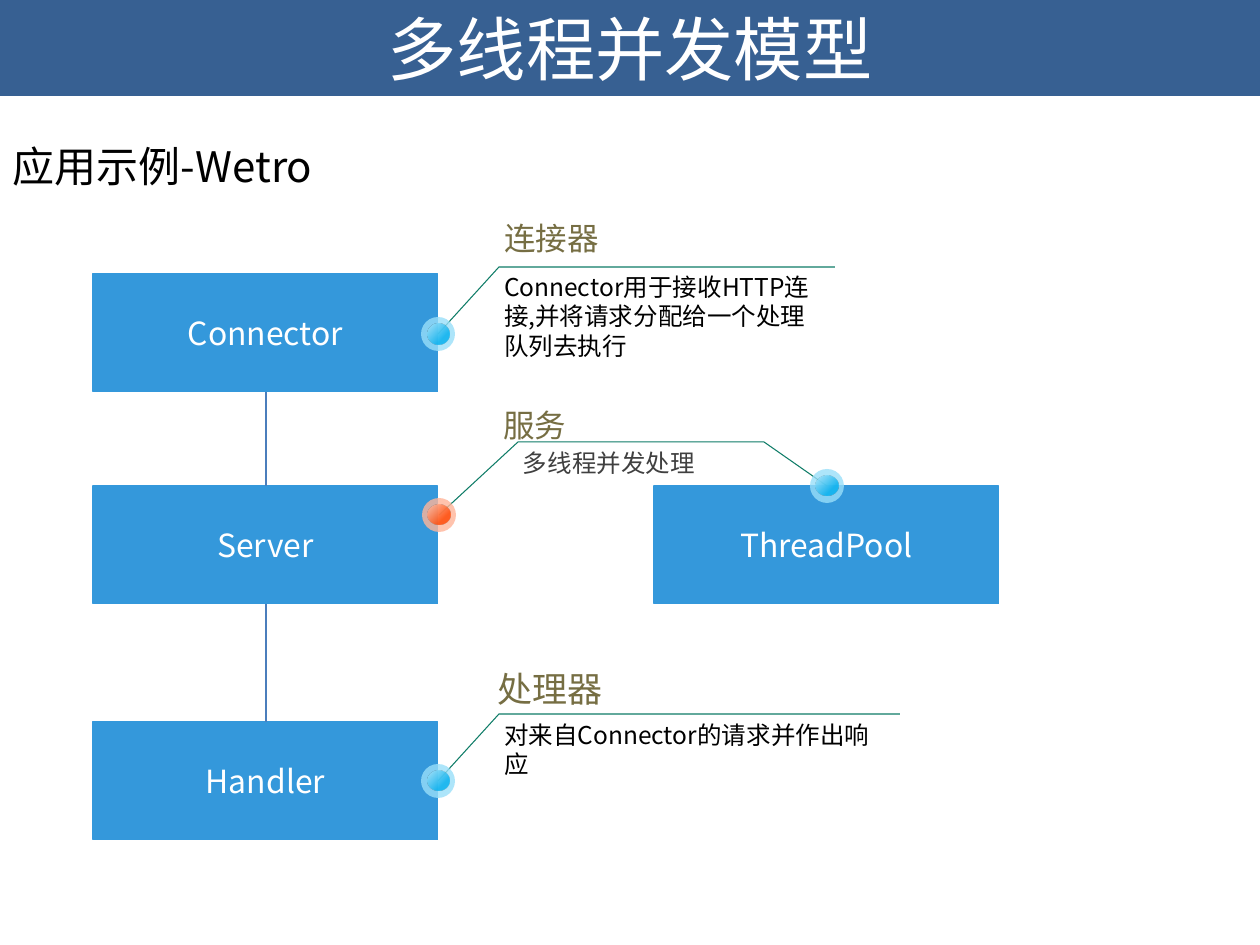
from lxml import etree
from pptx import Presentation
from pptx.dml.color import RGBColor
from pptx.enum.shapes import MSO_CONNECTOR, MSO_SHAPE
from pptx.enum.text import MSO_ANCHOR, PP_ALIGN
from pptx.oxml import parse_xml
from pptx.oxml.ns import nsdecls, qn
from pptx.util import Pt

PIXEL = 914400 // 126
FONT = "Noto Sans CJK SC"
WHITE = RGBColor(0xFF, 0xFF, 0xFF)
BLACK = RGBColor(0x00, 0x00, 0x00)
GRAY = RGBColor(0x40, 0x40, 0x40)
NAVY = RGBColor(0x37, 0x60, 0x92)
BLUE = RGBColor(0x34, 0x98, 0xDB)
LINK_BLUE = RGBColor(0x4B, 0x7E, 0xBC)
GREEN = RGBColor(0x0E, 0x7C, 0x67)
OLIVE = RGBColor(0x76, 0x6E, 0x43)
# Halo, centre highlight and core of each marker
CYAN_MARKER = (RGBColor(0x99, 0xDF, 0xF9), RGBColor(0xB2, 0xE7, 0xFA), RGBColor(0x00, 0xAE, 0xEE))
ORANGE_MARKER = (RGBColor(0xFF, 0xB5, 0x99), RGBColor(0xFF, 0xC7, 0xB2), RGBColor(0xFF, 0x45, 0x00))

presentation = Presentation()
presentation.slide_width = 1260 * PIXEL
presentation.slide_height = 945 * PIXEL
slide = presentation.slides.add_slide(presentation.slide_layouts[6])
shapes = slide.shapes


def add_filled(preset, left, top, width, height, color):
    shape = shapes.add_shape(preset, *(PIXEL * value for value in (left, top, width, height)))
    shape.shadow.inherit = False
    shape.fill.solid()
    shape.fill.fore_color.rgb = color
    shape.line.fill.background()
    return shape


def write(shape, text, size, color, anchor, alignment, side=5, edge=0):
    frame = shape.text_frame
    frame.word_wrap = True
    frame.vertical_anchor = anchor
    frame.margin_left = frame.margin_right = side * PIXEL
    frame.margin_top = frame.margin_bottom = edge * PIXEL
    paragraph = frame.paragraphs[0]
    paragraph.alignment = alignment
    run = paragraph.add_run()
    run.text = text
    run.font.size = Pt(size)
    run.font.name = FONT
    run.font.color.rgb = color
    etree.SubElement(run.font._element, qn("a:ea")).set("typeface", FONT)
    return paragraph


# Title bar and subtitle
title = add_filled(MSO_SHAPE.RECTANGLE, 0, 0, 1260, 96, NAVY)
write(title, "多线程并发模型", 39.6, WHITE, MSO_ANCHOR.MIDDLE, PP_ALIGN.CENTER)
subtitle = shapes.add_textbox(0, 135 * PIXEL, 1260 * PIXEL, 82 * PIXEL)
paragraph = write(subtitle, "应用示例-Wetro", 24, BLACK, MSO_ANCHOR.TOP, PP_ALIGN.LEFT, 13, 6)
paragraph.space_before = Pt(4.8)

# Component blocks
for name, left, top in (("Connector", 93, 274), ("Server", 93, 486),
                        ("ThreadPool", 654, 486), ("Handler", 93, 722)):
    block = add_filled(MSO_SHAPE.RECTANGLE, left, top, 345, 118, BLUE)
    block.line.color.rgb = BLUE
    block.line.width = Pt(0.6)
    write(block, name, 18.2, WHITE, MSO_ANCHOR.MIDDLE, PP_ALIGN.CENTER)

# Links down the left column
for top, bottom in ((392, 486), (604, 722)):
    link = shapes.add_connector(MSO_CONNECTOR.STRAIGHT, 266 * PIXEL, top * PIXEL,
                                266 * PIXEL, bottom * PIXEL)
    link.line.color.rgb = LINK_BLUE
    link.line.width = Pt(0.75)
    etree.SubElement(link._element.spPr, qn("a:effectLst"))

# Callout lines
for start, *rest in (((835, 267), (499, 267), (438, 334)),
                     ((900, 714), (499, 714), (438, 781)),
                     ((439, 515), (518, 442), (764, 442), (827, 486))):
    builder = shapes.build_freeform(*start, scale=PIXEL)
    builder.add_line_segments(rest, close=False)
    callout = builder.convert_to_shape()
    callout.shadow.inherit = False
    callout.fill.background()
    callout.line.color.rgb = GREEN
    callout.line.width = Pt(0.6)

# Callout headings and descriptions
for text, left, top, width, size, color, anchor in (
    ("连接器", 499, 219, 336, 18, OLIVE, MSO_ANCHOR.TOP),
    ("Connector用于接收HTTP连接,并将请求分配给一个处理队列去执行".replace(",", ","),
     499, 272, 336, 14, BLACK, MSO_ANCHOR.TOP),
    ("处理器", 492, 667, 400, 20, OLIVE, MSO_ANCHOR.BOTTOM),
    ("对来自Connector的请求并作出响应", 499, 720, 400, 14, BLACK, MSO_ANCHOR.TOP),
    ("服务", 498, 402, 245, 18, OLIVE, MSO_ANCHOR.BOTTOM),
    ("多线程并发处理", 518, 448, 245, 14, GRAY, MSO_ANCHOR.TOP),
):
    box = shapes.add_textbox(left * PIXEL, top * PIXEL, width * PIXEL, 42 * PIXEL)
    write(box, text, size, color, anchor, PP_ALIGN.LEFT)

# Markers: a translucent halo around a shaded core
for x, y, (halo_color, highlight, core_color) in (
    (438, 334, CYAN_MARKER), (438, 781, CYAN_MARKER),
    (827, 486, CYAN_MARKER), (439, 515, ORANGE_MARKER),
):
    halo = add_filled(MSO_SHAPE.OVAL, x - 17, y - 17, 34, 34, halo_color)
    halo_fill = halo._element.spPr.find(qn("a:solidFill"))
    etree.SubElement(halo_fill[0], qn("a:alpha")).set("val", "80000")

    core = add_filled(MSO_SHAPE.OVAL, x - 11, y - 10, 22, 20, core_color)
    stops = "".join(
        f'<a:gs pos="{position}"><a:srgbClr val="{color}"><a:alpha val="80000"/></a:srgbClr></a:gs>'
        for position, color in ((0, highlight), (69000, core_color), (100000, core_color)))
    gradient = parse_xml(
        f'<a:gradFill {nsdecls("a")}><a:gsLst>{stops}</a:gsLst><a:path path="circle">'
        '<a:fillToRect r="100000" b="100000"/></a:path></a:gradFill>')
    properties = core._element.spPr
    properties.replace(properties.find(qn("a:solidFill")), gradient)

presentation.save("out.pptx")
